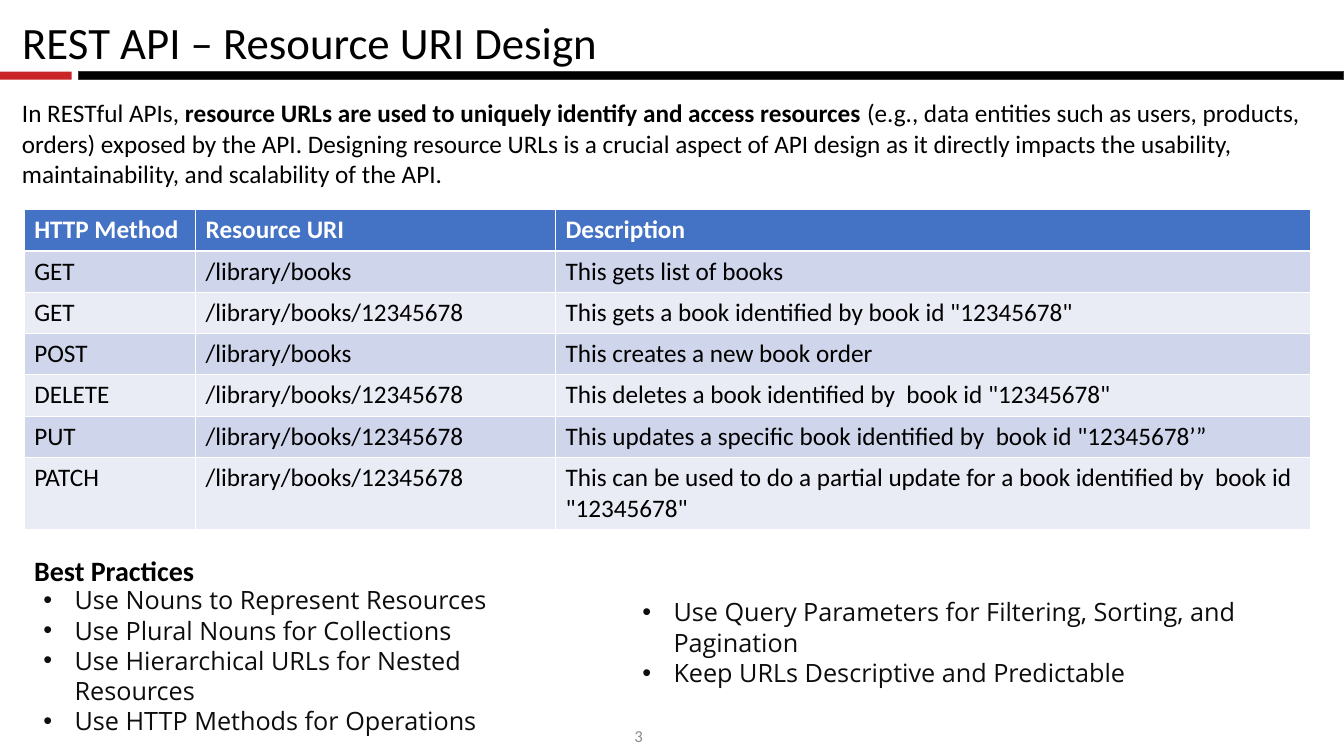
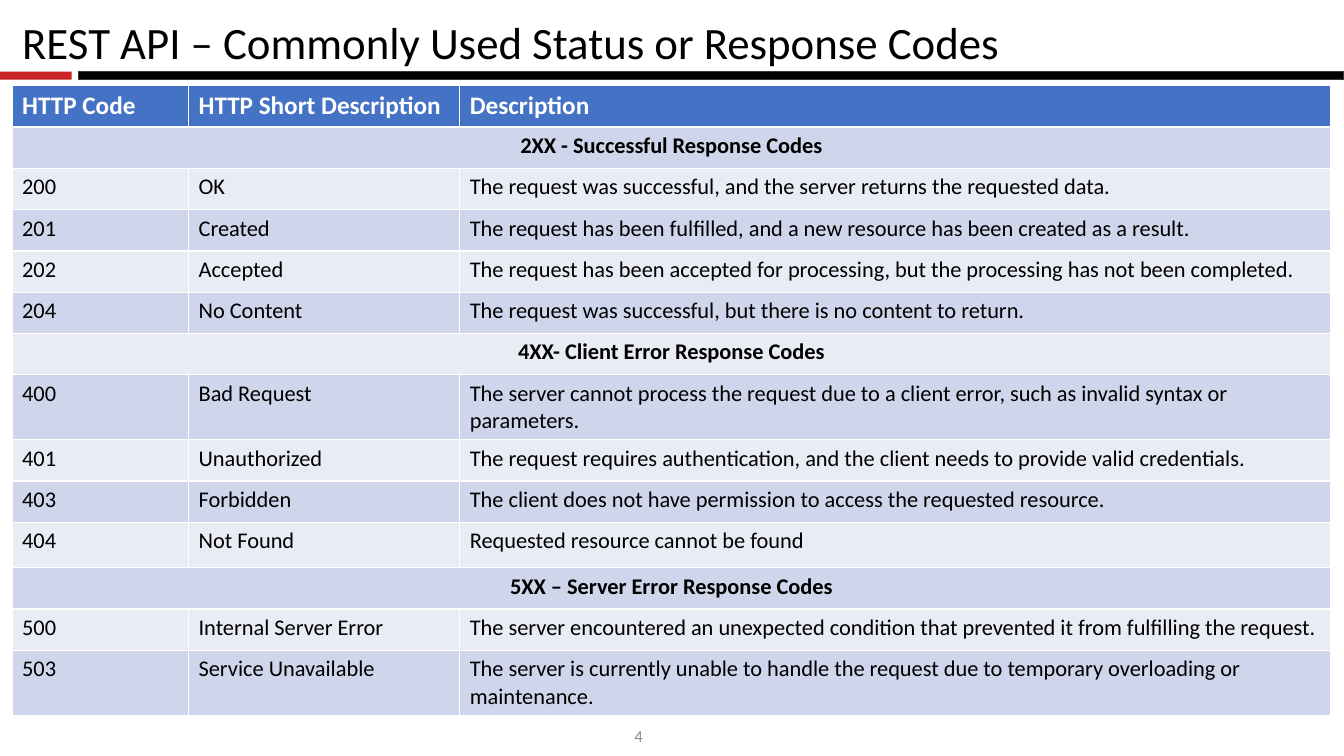
from lxml.etree import SubElement
from pptx import Presentation
from pptx.dml.color import RGBColor
from pptx.enum.shapes import MSO_SHAPE as Shape
from pptx.enum.text import MSO_ANCHOR as Anchor, MSO_AUTO_SIZE as AutoSize, PP_ALIGN as Align
from pptx.oxml.ns import qn
from pptx.util import Inches, Pt

BLACK = RGBColor(0x00, 0x00, 0x00)
WHITE = RGBColor(0xFF, 0xFF, 0xFF)
RED = RGBColor(0xCA, 0x24, 0x26)
BAND_EDGE = RGBColor(0x3B, 0x38, 0x38)
GREY = RGBColor(0x8C, 0x8C, 0x8C)
INK = RGBColor(0x0D, 0x0D, 0x0D)
HEADER_BLUE = RGBColor(0x44, 0x72, 0xC4)
ROW_TINTS = (RGBColor(0xE9, 0xEB, 0xF5), RGBColor(0xCF, 0xD5, 0xEA))

MAIN_FONT = "Calibri"
LIST_FONT = "Open Sans"
TWO_CONTENT, TITLE_ONLY = 3, 5
ROW_HEIGHT = 0.41

METHODS = [
    ("HTTP Method", "Resource URI", "Description"),
    ("GET", "/library/books", "This gets list of books"),
    ("GET", "/library/books/12345678", 'This gets a book identified by book id "12345678"'),
    ("POST", "/library/books", "This creates a new book order"),
    ("DELETE", "/library/books/12345678",
     'This deletes a book identified by  book id "12345678"'),
    ("PUT", "/library/books/12345678",
     'This updates a specific book identified by  book id "12345678’”'),
    ("PATCH", "/library/books/12345678",
     'This can be used to do a partial update for a book identified by  book id "12345678"'),
]

# A row with a single entry is a heading across the whole table
STATUS_CODES = [
    ("HTTP Code", "HTTP Short Description", "Description"),
    ("2XX - Successful Response Codes",),
    ("200", "OK", "The request was successful, and the server returns the requested data."),
    ("201", "Created",
     "The request has been fulfilled, and a new resource has been created as a result."),
    ("202", "Accepted",
     "The request has been accepted for processing, but the processing has not been completed."),
    ("204", "No Content", "The request was successful, but there is no content to return."),
    ("4XX- Client Error Response Codes",),
    ("400", "Bad Request",
     "The server cannot process the request due to a client error, "
     "such as invalid syntax or parameters."),
    ("401", "Unauthorized",
     "The request requires authentication, and the client needs to provide valid credentials."),
    ("403", "Forbidden",
     "The client does not have permission to access the requested resource."),
    ("404", "Not Found", "Requested resource cannot be found"),
    ("5XX – Server Error Response Codes",),
    ("500", "Internal Server Error",
     "The server encountered an unexpected condition that prevented it "
     "from fulfilling the request."),
    ("503", "Service Unavailable",
     "The server is currently unable to handle the request due to "
     "temporary overloading or maintenance."),
]

INTRO = [
    ("In RESTful APIs, ", False),
    ("resource URLs are used to uniquely identify and access resources ", True),
    ("(e.g., data entities such as users, products, orders) exposed by the API. Designing "
     "resource URLs is a crucial aspect of API design as it directly impacts the usability, "
     "maintainability, and scalability of the API.", False),
]

NAMING_PRACTICES = [
    "Use Nouns to Represent Resources",
    "Use Plural Nouns for Collections",
    "Use Hierarchical URLs for Nested Resources",
    "Use HTTP Methods for Operations",
]
QUERY_PRACTICES = [
    "Use Query Parameters for Filtering, Sorting, and Pagination",
    "Keep URLs Descriptive and Predictable",
]


def style(font, size, color=BLACK, bold=False, name=MAIN_FONT):
    font.name, font.size, font.bold = name, Pt(size), bold
    font.color.rgb = color


def place(shape, box):
    shape.left, shape.top, shape.width, shape.height = map(Inches, box)


def set_frame(frame, anchor=Anchor.TOP):
    frame.word_wrap = True
    frame.auto_size = AutoSize.NONE
    frame.vertical_anchor = anchor


def add_text(slide, box, pieces, size):
    """Text box with one paragraph of (text, bold) pieces."""
    frame = slide.shapes.add_textbox(*map(Inches, box)).text_frame
    set_frame(frame)
    for text, bold in pieces:
        run = frame.paragraphs[0].add_run()
        run.text = text
        style(run.font, size, bold=bold)


def add_band(slide, box, fill, edge=None):
    band = slide.shapes.add_shape(Shape.RECTANGLE, *map(Inches, box))
    band.shadow.inherit = False
    band.fill.solid()
    band.fill.fore_color.rgb = fill
    if edge is None:
        band.line.fill.background()
    else:
        band.line.color.rgb = edge
        band.line.width = Pt(1)


def add_page_number(slide, box, number):
    frame = slide.shapes.add_textbox(*map(Inches, box)).text_frame
    set_frame(frame, Anchor.MIDDLE)
    paragraph = frame.paragraphs[0]
    paragraph.alignment = Align.CENTER
    run = paragraph.add_run()
    run.text = str(number)
    style(run.font, 12, GREY)
    # Turn the run into a live slide number field
    field = SubElement(paragraph._p, qn("a:fld"), type="slidenum",
                       id="{B6F15528-21DE-4FAA-801E-634DDDAF4B2B}")
    field.extend(list(run._r))
    paragraph._p.remove(run._r)


def start_slide(deck, layout, title, number):
    """Slide with the shared title, bands and page number."""
    slide = deck.slides.add_slide(deck.slide_layouts[layout])
    add_page_number(slide, (4.78, 7.1, 3.11, 0.4), number)
    add_band(slide, (0.78, 0.71, 12.55, 0.08), BLACK, BAND_EDGE)
    add_band(slide, (0, 0.71, 0.71, 0.08), RED)
    heading = slide.shapes.title
    place(heading, (0.12, 0.1, 11.66, 0.64))
    set_frame(heading.text_frame)
    heading.text_frame.text = title
    paragraph = heading.text_frame.paragraphs[0]
    paragraph.alignment = Align.LEFT
    style(paragraph.runs[0].font, 32)
    return slide


def fill_list(holder, box, items):
    """Bulleted list in a body placeholder."""
    place(holder, box)
    frame = holder.text_frame
    set_frame(frame)
    frame.text = "\n".join(items)
    for paragraph in frame.paragraphs:
        paragraph.space_before = Pt(0)
        properties = paragraph._p.get_or_add_pPr()
        properties.set("marL", str(Inches(0.31)))
        properties.set("indent", str(-Inches(0.31)))
        SubElement(properties, qn("a:buFont"), typeface="Arial")
        SubElement(properties, qn("a:buChar"), char="•")
        style(paragraph.runs[0].font, 18, INK, name=LIST_FONT)


def add_grid(slide, left, top, widths, rows, body_size, tall_rows=None):
    """Banded table; tall_rows maps row numbers to their own heights."""
    heights = [(tall_rows or {}).get(i, ROW_HEIGHT) for i in range(len(rows))]
    box = (left, top, sum(widths), sum(heights))
    grid = slide.shapes.add_table(len(rows), len(widths), *map(Inches, box)).table
    for column, width in zip(grid.columns, widths):
        column.width = Inches(width)
    for i, (entries, height) in enumerate(zip(rows, heights)):
        grid.rows[i].height = Inches(height)
        header, section = i == 0, len(entries) == 1
        if section:
            grid.cell(i, 0).merge(grid.cell(i, len(widths) - 1))
        for j, entry in enumerate(entries):
            cell = grid.cell(i, j)
            cell.fill.solid()
            cell.fill.fore_color.rgb = HEADER_BLUE if header else ROW_TINTS[i % 2]
            cell.text_frame.text = entry
            paragraph = cell.text_frame.paragraphs[0]
            paragraph.alignment = Align.CENTER if section else Align.LEFT
            style(paragraph.runs[0].font, 18 if header else body_size,
                  WHITE if header else BLACK, header or section)


def add_best_practices(slide, left, top):
    add_text(slide, (left, top, 6.17, 0.44), [("Best Practices", True)], 20)
    naming, queries = list(slide.placeholders)[1:]
    fill_list(naming, (left + 0.09, top + 0.31, 5.35, 1.62), NAMING_PRACTICES)
    fill_list(queries, (left + 6.03, top + 0.43, 6.63, 1.01), QUERY_PRACTICES)


def build_uri_design(deck):
    slide = start_slide(deck, TWO_CONTENT, "REST API – Resource URI Design", 3)
    add_text(slide, (0.12, 0.92, 12.9, 1.01), INTRO, 18)
    add_grid(slide, 0.24, 2.08, (1.7, 3.57, 7.49), METHODS, 18, {6: 0.69})
    add_best_practices(slide, 0.24, 5.44)


def build_status_codes(deck):
    slide = start_slide(deck, TITLE_ONLY,
                        "REST API – Commonly Used Status or Response Codes", 4)
    add_grid(slide, 0.12, 0.85, (1.75, 2.69, 8.64), STATUS_CODES, 16,
             {7: 0.63, 10: 0.45, 13: 0.63})


def main():
    deck = Presentation()
    deck.slide_width, deck.slide_height = Inches(13.33), Inches(7.5)
    # Page numbers run from 3
    deck.element.set("firstSlideNum", "3")
    build_uri_design(deck)
    build_status_codes(deck)
    deck.save("out.pptx")


if __name__ == "__main__":
    main()
